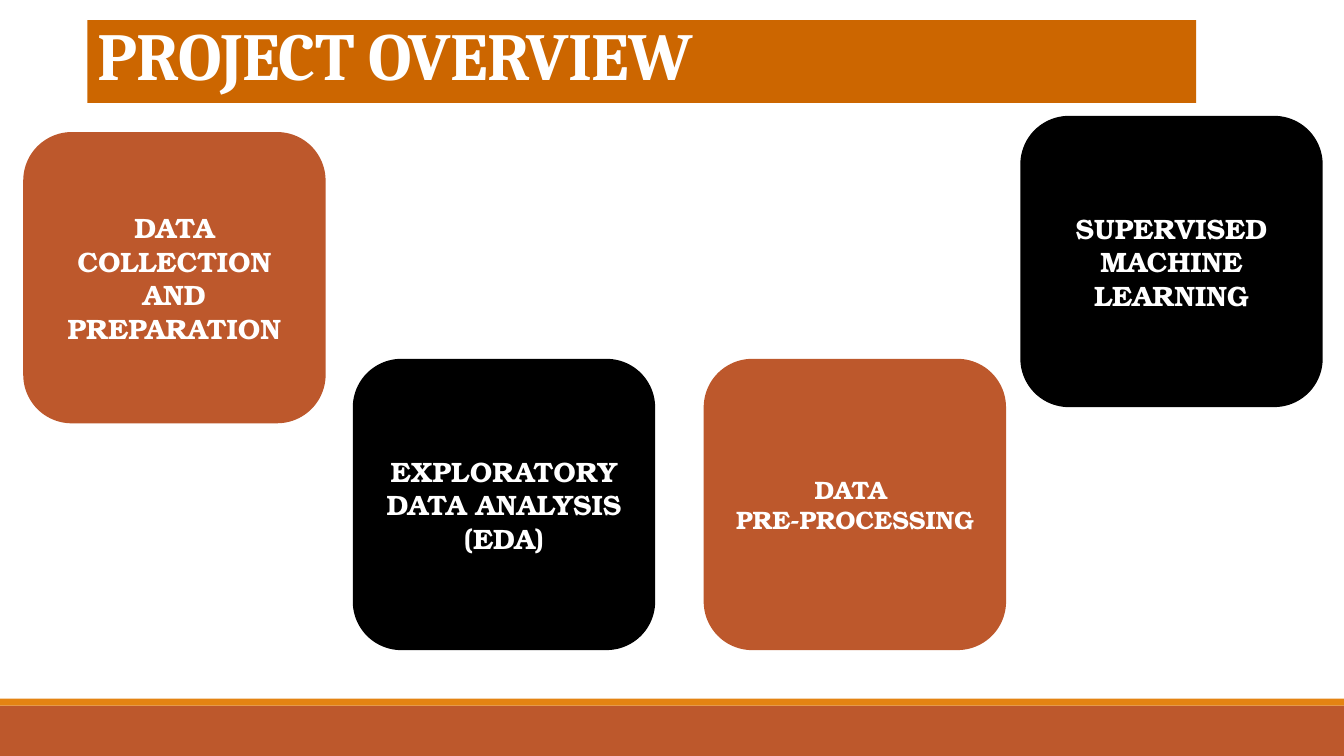
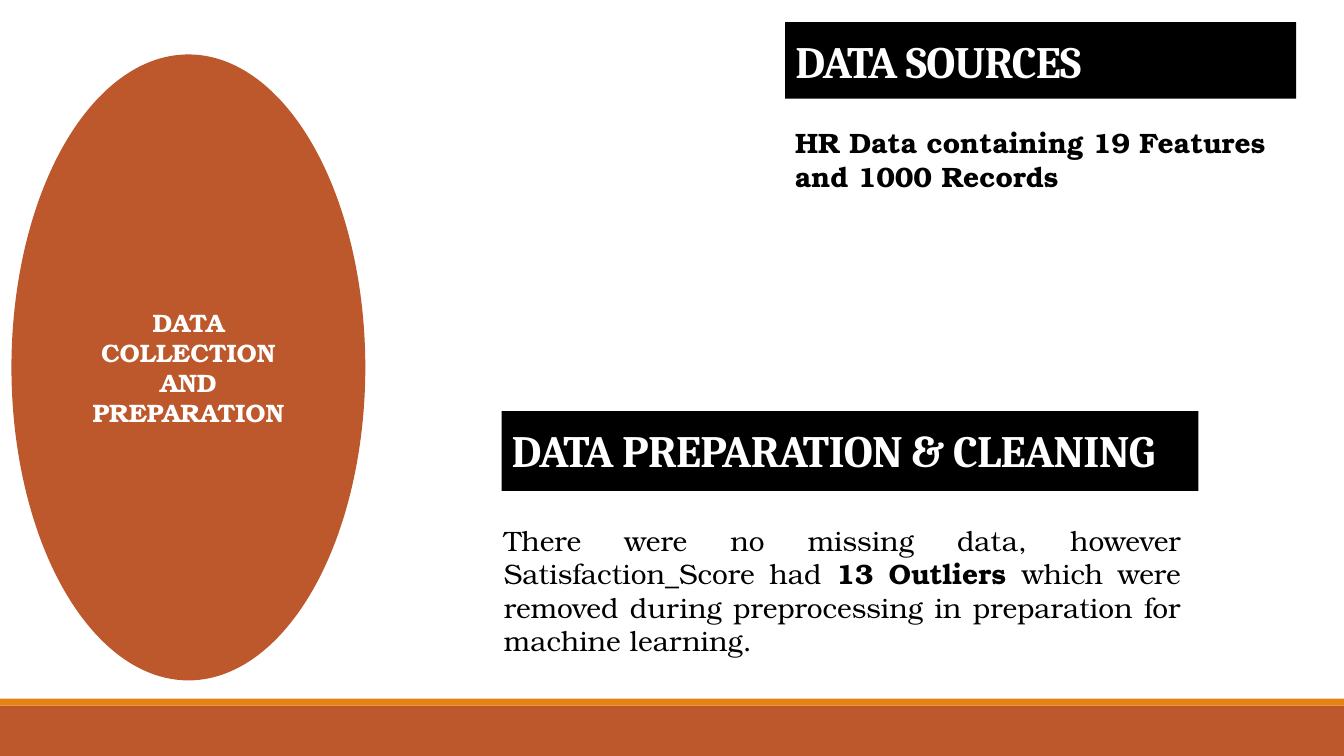
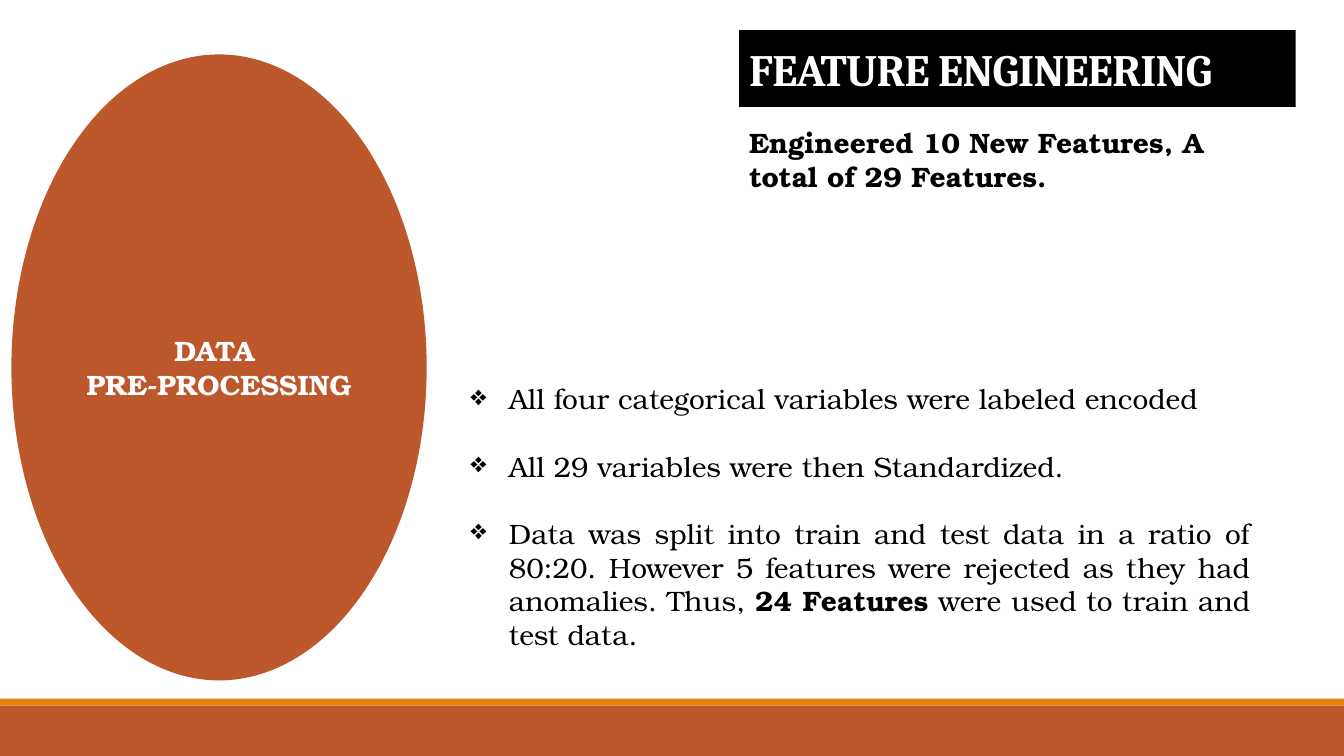
import pptx
import pptx.util
import pptx.dml.color
import pptx.enum.shapes
import pptx.enum.text
import pptx.oxml.ns
import lxml.etree

Pt, Inches = pptx.util.Pt, pptx.util.Inches
SHAPE = pptx.enum.shapes.MSO_SHAPE
ALIGN = pptx.enum.text.PP_ALIGN
ANCHOR = pptx.enum.text.MSO_ANCHOR

RUST, AMBER, OCHRE = "BD582C", "E48312", "CC6600"
BLACK, WHITE = "000000", "FFFFFF"
TITLE_FONT, BODY_FONT = "Cambria", "TeX Gyre Bonum"

prs = pptx.Presentation()
prs.slide_width, prs.slide_height = Inches(13.33), Inches(7.5)
TITLE_ONLY = prs.slide_layouts[5]


def place(shape, box, fill=None):
    """Set left, top, width and height in percent of the slide; fill without a line."""
    left, top, width, height = box
    shape.left, shape.width = (int(prs.slide_width * v / 100) for v in (left, width))
    shape.top, shape.height = (int(prs.slide_height * v / 100) for v in (top, height))
    if fill:
        shape.fill.solid()
        shape.fill.fore_color.rgb = pptx.dml.color.RGBColor.from_string(fill)
        shape.line.fill.background()
    if not shape.is_placeholder:
        shape.shadow.inherit = False
    return shape


def write(shape, text, size, color, align=ALIGN.LEFT, anchor=ANCHOR.TOP,
          bold=True, heading=False, top_inset=0.05):
    """Write one paragraph a line; in text that is not bold, *stars* mark bold words."""
    frame = shape.text_frame
    frame.text = text.replace("*", "")
    frame.word_wrap = True
    frame.auto_size = pptx.enum.text.MSO_AUTO_SIZE.NONE
    frame.vertical_anchor = anchor
    frame.margin_top = Inches(top_inset)
    for paragraph, line in zip(frame.paragraphs, text.split("\n")):
        paragraph.alignment = align
        if heading:
            paragraph.line_spacing = 0.85
        pieces = line.split("*")
        paragraph.runs[0].text = pieces[0]
        for piece in pieces[1:]:
            paragraph.add_run().text = piece
        for index, run in enumerate(paragraph.runs):
            run.font.size = Pt(size)
            run.font.name = TITLE_FONT if heading else BODY_FONT
            run.font.bold = bold or index % 2 == 1
            run.font.color.rgb = pptx.dml.color.RGBColor.from_string(color)
            if heading:
                run.font._element.set("spc", "-50")


# Overview slide
overview = prs.slides.add_slide(TITLE_ONLY)

# The footer bands belong to the master, so every slide shows them
for top, height, color in ((93.33, 6.67, RUST), (92.4, 0.93, AMBER)):
    band = overview.shapes.add_shape(SHAPE.RECTANGLE, 0, 0, 0, 0)
    place(band, (0, top, 100, height), color)
    prs.slide_master.shapes.element.append(band.element)

title = place(overview.shapes.title, (6.5, 2.67, 82.5, 10.93), OCHRE)
write(title, "PROJECT OVERVIEW", 48, WHITE, heading=True)

STEPS = (
    ("DATA COLLECTION AND PREPARATION", 1.73, 17.47, RUST, 20),
    ("EXPLORATORY DATA ANALYSIS (EDA)", 26.25, 47.47, BLACK, 20),
    ("DATA \nPRE-PROCESSING", 52.36, 47.47, RUST, 18),
    ("SUPERVISED MACHINE LEARNING", 75.92, 15.33, BLACK, 20),
)
for label, left, top, color, size in STEPS:
    step = overview.shapes.add_shape(SHAPE.ROUNDED_RECTANGLE, 0, 0, 0, 0)
    place(step, (left, top, 22.5, 38.53), color)
    write(step, label, size, WHITE, ALIGN.CENTER, ANCHOR.MIDDLE)

# Stage slides: a titled fact at the top right and the stage in an ellipse at the left
STAGES = (
    ("DATA SOURCES", (58.42, 2.93, 38.03, 10.13),
     "HR Data containing 19 Features and 1000 Records", 37.43,
     "DATA COLLECTION AND PREPARATION", 26.33, 18),
    ("FEATURE ENGINEERING", (54.99, 4, 41.41, 10.13),
     "Engineered 10 New Features, A total of 29 Features.", 40.88,
     "DATA \nPRE-PROCESSING", 30.9, 20),
)
stage_slides = []
for heading, heading_box, fact, fact_width, stage, stage_width, stage_size in STAGES:
    slide = prs.slides.add_slide(TITLE_ONLY)
    stage_slides.append(slide)
    title = place(slide.shapes.title, heading_box, BLACK)
    write(title, heading, 32, WHITE, heading=True, top_inset=0.2)
    ellipse = slide.shapes.add_shape(SHAPE.OVAL, 0, 0, 0, 0)
    place(ellipse, (0.85, 7.2, stage_width, 82.8), RUST)
    write(ellipse, stage, stage_size, WHITE, ALIGN.CENTER, ANCHOR.MIDDLE)
    fact_text = slide.shapes.add_textbox(0, 0, 0, 0)
    place(fact_text, (heading_box[0], 16, fact_width, 16))
    write(fact_text, fact, 20, BLACK)

preparation, preprocessing = stage_slides

# Cleaning section
cleaning_heading = preparation.shapes.add_shape(SHAPE.RECTANGLE, 0, 0, 0, 0)
place(cleaning_heading, (37.33, 54.4, 51.83, 10.53), BLACK)
write(cleaning_heading, "DATA PREPARATION & CLEANING", 32, WHITE, heading=True, top_inset=0.2)

cleaning = place(preparation.shapes.add_textbox(0, 0, 0, 0), (36.76, 68.53, 51.83, 19.33))
write(cleaning, "There were no missing data, however Satisfaction_Score had *13 Outliers *"
      "which were removed during preprocessing in preparation for machine learning.",
      20, BLACK, ALIGN.JUSTIFY, bold=False)

# Pre-processing list
tasks = place(preprocessing.shapes.add_textbox(0, 0, 0, 0), (34.28, 49.87, 59.49, 37.2))
write(tasks, "All four categorical variables were labeled encoded\n"
      "All 29 variables were then Standardized.\n"
      "Data was split into train and test data in a ratio of 80:20. However 5 features "
      "were rejected as they had anomalies. Thus, *24 Features* were used to train and test data.",
      20, BLACK, ALIGN.JUSTIFY, bold=False)
INDENT = Inches(0.38)
for task in tasks.text_frame.paragraphs:
    task.space_after = Pt(24)
    properties = task._p.get_or_add_pPr()
    properties.set("marL", str(INDENT))
    properties.set("indent", str(-INDENT))
    bullet = lxml.etree.SubElement(properties, pptx.oxml.ns.qn("a:buChar"))
    bullet.set("char", "❖")

prs.save("out.pptx")
